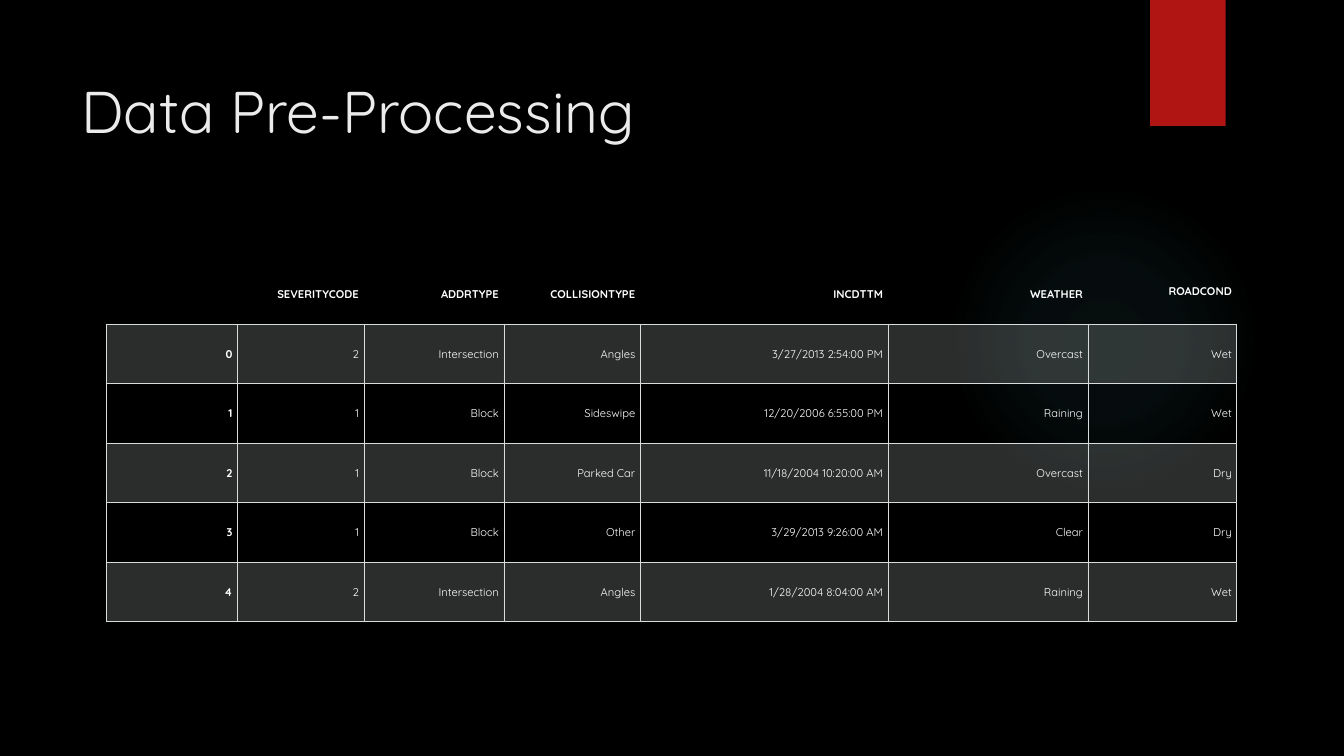
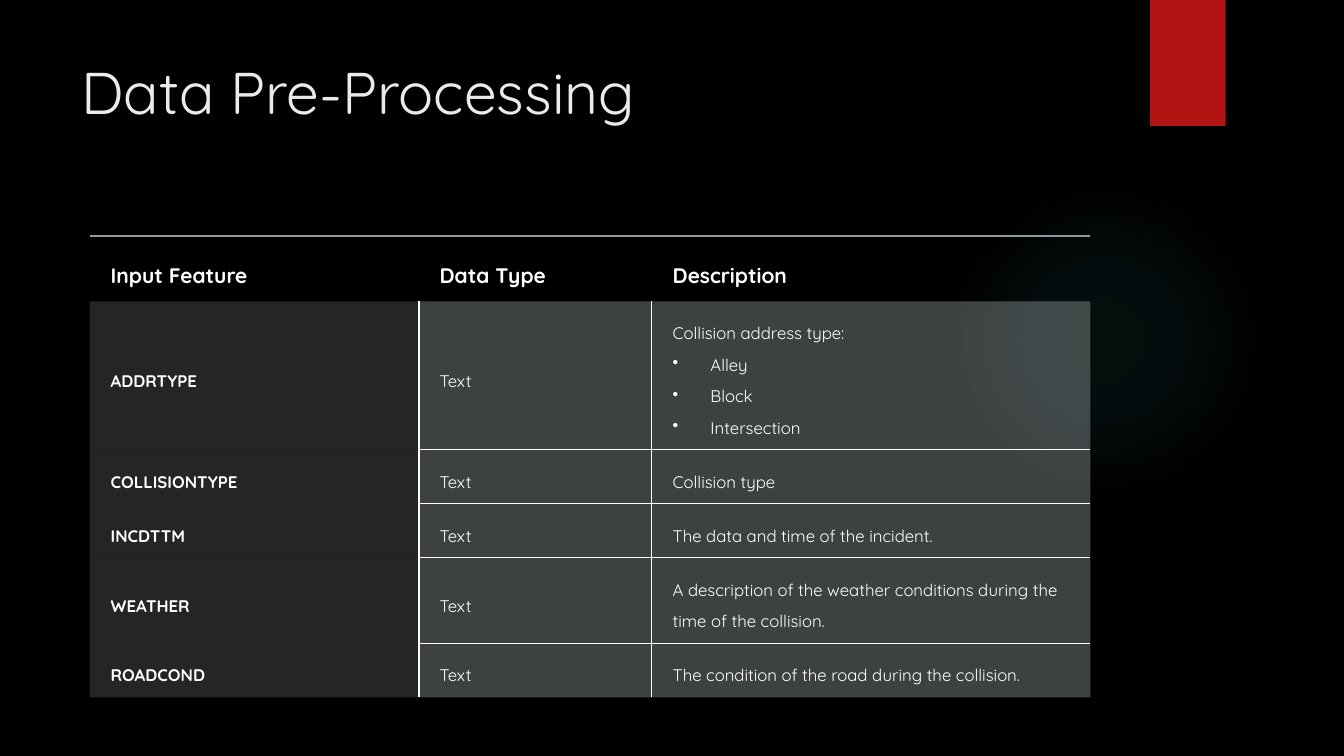
"""Build two dark slides with tables on data pre-processing."""
from pptx import Presentation
from pptx.dml.color import RGBColor
from pptx.enum.shapes import MSO_SHAPE
from pptx.enum.text import MSO_ANCHOR, MSO_AUTO_SIZE, PP_ALIGN
from pptx.oxml import parse_xml
from pptx.oxml.ns import nsdecls
from pptx.util import Pt

FONT = "Quicksand"
BLACK = RGBColor(0x00, 0x00, 0x00)
WHITE = RGBColor(0xFF, 0xFF, 0xFF)
PALE = RGBColor(0xEB, 0xEB, 0xEB)
RED = RGBColor(0xB0, 0x15, 0x13)
TEAL = RGBColor(0x50, 0xB9, 0xC1)
GRID = RGBColor(0xD8, 0xDC, 0xDC)
BAND = RGBColor(0xD8, 0xDE, 0xDC)
SLATE = RGBColor(0xB4, 0xBC, 0xBE)
RULE = RGBColor(0x8F, 0x9A, 0x9D)
PLAIN = "{2D5ABB26-0587-4C30-8999-92F81FD0307C}"

SAMPLE = [
    ["", "SEVERITYCODE", "ADDRTYPE", "COLLISIONTYPE", "INCDTTM", "WEATHER", "ROADCOND"],
    ["0", "2", "Intersection", "Angles", "3/27/2013 2:54:00 PM", "Overcast", "Wet"],
    ["1", "1", "Block", "Sideswipe", "12/20/2006 6:55:00 PM", "Raining", "Wet"],
    ["2", "1", "Block", "Parked Car", "11/18/2004 10:20:00 AM", "Overcast", "Dry"],
    ["3", "1", "Block", "Other", "3/29/2013 9:26:00 AM", "Clear", "Dry"],
    ["4", "2", "Intersection", "Angles", "1/28/2004 8:04:00 AM", "Raining", "Wet"],
]
FIELDS = [
    ["Input Feature", "Data Type", "Description"],
    ["ADDRTYPE", "Text", "Collision address type:"],
    ["COLLISIONTYPE", "Text", "Collision type"],
    ["INCDTTM", "Text", "The data and time of the incident."],
    ["WEATHER", "Text",
     "A description of the weather conditions during the time of the collision."],
    ["ROADCOND", "Text", "The condition of the road during the collision."],
]
KINDS = ["Alley", "Block", "Intersection"]


def tone(color, alpha):
    """Return the XML of a colour with its opacity in percent."""
    return f'<a:srgbClr val="{color}"><a:alpha val="{alpha * 1000}"/></a:srgbClr>'


def paint(color, alpha=100, decl=""):
    """Return the XML of a solid fill."""
    return f"<a:solidFill {decl}>{tone(color, alpha)}</a:solidFill>"


def write(para, text, size, color=WHITE, bold=False):
    """Add one run of text to a paragraph."""
    run = para.add_run()
    run.text = text
    font = run.font
    font.name, font.size, font.bold = FONT, Pt(size), bold
    font.color.rgb = color


def add_shape(slide, kind, left, top, width, height, color):
    """Add a plain shape without outline and move it to the master."""
    shape = slide.shapes.add_shape(kind, Pt(left), Pt(top), Pt(width), Pt(height))
    shape.shadow.inherit = False
    shape.line.fill.background()
    shape.fill.solid()
    shape.fill.fore_color.rgb = color
    slide.slide_layout.slide_master.element.cSld.spTree.append(shape.element)
    return shape


def add_decor(slide):
    """Give the master its background, glow and ribbon."""
    back = slide.slide_layout.slide_master.background.fill
    back.solid()
    back.fore_color.rgb = BLACK
    glow = add_shape(slide, MSO_SHAPE.OVAL, 677.5, 131.8, 221.8, 221.8, TEAL)
    stops = "".join(f'<a:gs pos="{pos * 1000}">{tone(TEAL, alpha)}</a:gs>'
                    for pos, alpha in ((0, 7), (36, 6), (69, 0), (100, 0)))
    blend = parse_xml(
        f'<a:gradFill {nsdecls("a")} rotWithShape="1"><a:gsLst>{stops}</a:gsLst>'
        '<a:path path="circle"><a:fillToRect l="50000" t="50000" r="50000" b="50000"/>'
        "</a:path></a:gradFill>")
    props = glow.element.spPr
    props.replace(props.solidFill, blend)
    add_shape(slide, MSO_SHAPE.RECTANGLE, 821.5, 0, 54, 90, RED)


def add_title(slide, text, top, width, height):
    """Place and fill the title."""
    title = slide.shapes.title
    title.left, title.top = Pt(51), Pt(top)
    title.width, title.height = Pt(width), Pt(height)
    frame = title.text_frame
    frame.word_wrap = True
    frame.auto_size = MSO_AUTO_SIZE.NONE
    frame.vertical_anchor = MSO_ANCHOR.TOP
    para = frame.paragraphs[0]
    para.alignment = PP_ALIGN.LEFT
    write(para, text, 42, PALE)


def add_table(slide, left, top, cols, rows):
    """Add a table without style and return it."""
    table = slide.shapes.add_table(len(rows), len(cols), Pt(left), Pt(top),
                                   Pt(sum(cols)), Pt(sum(rows))).table
    props = table._tbl.tblPr
    props.find("{*}tableStyleId").text = PLAIN
    table.first_row = table.horz_banding = False
    for col, width in zip(table.columns, cols):
        col.width = Pt(width)
    for row, height in zip(table.rows, rows):
        row.height = Pt(height)
    return table


def dress(cell, pads, sides, line, tint=None):
    """Set the margins, borders and fill of a cell."""
    cell.margin_left, cell.margin_top, cell.margin_right, cell.margin_bottom = map(Pt, pads)
    cell.vertical_anchor = MSO_ANCHOR.MIDDLE
    props = cell._tc.get_or_add_tcPr()
    color, width, alpha = line
    for side in "LRTB":
        if side in sides:
            props.append(parse_xml(
                f'<a:ln{side} {nsdecls("a")} w="{Pt(width)}">'
                f"{paint(color, alpha)}</a:ln{side}>"))
    if tint:
        props.append(parse_xml(paint(*tint, decl=nsdecls("a"))))
    else:
        cell.fill.background()


def add_sample(slide):
    """Add the table of sample records."""
    cols = [93.6, 90.4, 100, 97.5, 177, 142.7, 106.4]
    table = add_table(slide, 76, 189, cols, [42.5] * len(SAMPLE))
    for row, texts in enumerate(SAMPLE):
        for col, text in enumerate(texts):
            cell = table.cell(row, col)
            dress(cell, (8, 4.3, 3.6, 4.3), "LRTB" if row else "B", (GRID, 0.75, 100),
                  (BAND, 20) if row % 2 else None)
            para = cell.text_frame.paragraphs[0]
            para.alignment = PP_ALIGN.RIGHT
            if text:
                write(para, text, 8, bold=row == 0 or col == 0)
    last = table.cell(0, len(cols) - 1)
    last.vertical_anchor = MSO_ANCHOR.TOP
    last.margin_top = Pt(14.3)


def add_bullet(frame, text):
    """Add a bulleted paragraph to a text frame."""
    para = frame.add_paragraph()
    para.line_spacing = 1.5
    props = para._p.get_or_add_pPr()
    props.set("marL", str(Pt(27)))
    props.set("indent", str(-Pt(27)))
    props.append(parse_xml(f'<a:buChar {nsdecls("a")} char="•"/>'))
    write(para, text, 12)


def add_fields(slide):
    """Add the table of input features."""
    rows = [46.4, 105.7, 38.6, 38.6, 61.4, 38.6]
    table = add_table(slide, 64, 168.5, [235, 166.4, 313.4], rows)
    for row, texts in enumerate(FIELDS):
        for col, text in enumerate(texts):
            cell = table.cell(row, col)
            if row == 0:
                dress(cell, (15.1, 9.4, 9.4, 9.4), "T", (RULE, 1.5, 60))
            else:
                sides = "R"
                if col:
                    sides = ("L" if col == 1 else "") + ("T" if row > 1 else "")
                    sides += "B" if row < len(rows) - 1 else ""
                dress(cell, (15.1, 7.9, 7.9, 7.9), sides, (WHITE, 1.5, 100),
                      (SLATE, 35 if col else 20))
            para = cell.text_frame.paragraphs[0]
            para.line_spacing = 1.5
            write(para, text, 12 if row else 15, bold=row == 0 or col == 0)
    for kind in KINDS:
        add_bullet(table.cell(1, 2).text_frame, kind)


def main():
    """Build and save the slides."""
    deck = Presentation()
    deck.slide_width, deck.slide_height = Pt(960), Pt(540)
    layout = deck.slide_layouts[5]
    first, second = (deck.slides.add_slide(layout) for _ in range(2))
    add_decor(first)
    add_title(first, "Data Pre-Processing", 49.7, 728.6, 96.5)
    add_sample(first)
    add_title(second, "Data Pre-Processing", 36, 741, 110)
    add_fields(second)
    deck.save("out.pptx")


if __name__ == "__main__":
    main()
